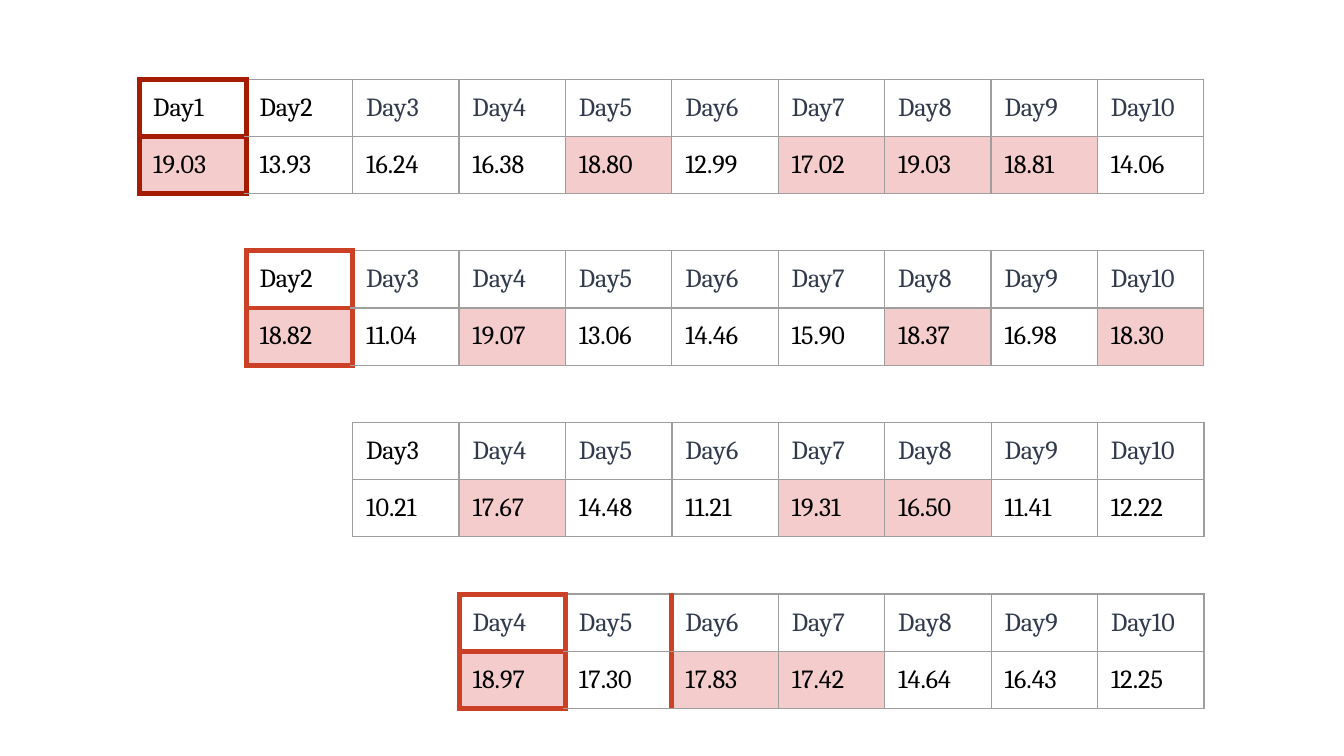
import pptx
import pptx.dml.color
import pptx.oxml
import pptx.oxml.ns
import pptx.util

Inches = pptx.util.Inches
WIDTH = 10
HEIGHT = WIDTH * 9 / 16
LAST_DAY = 10
LEFT, TOP, RIGHT, LAST_TOP = 1.04, 0.59, 8.96, 4.42
COLUMN = (RIGHT - LEFT) / LAST_DAY
ROW = (LAST_TOP - TOP) / 9  # each table takes two rows and leaves one free
BLACK, SLATE, GREY, PINK = "000000", "31394D", "9E9E9E", "F4CCCC"
DARK_RED, RED = "A61C00", "CC4125"

# First day, values, shaded days, days with a black heading, red border colour
# and the days that have a thick red line on their left and right sides
tables = [
    (1, "19.03 13.93 16.24 16.38 18.80 12.99 17.02 19.03 18.81 14.06",
     {1, 5, 7, 8, 9}, {1, 2}, DARK_RED, {1, 2}, {1}),
    (2, "18.82 11.04 19.07 13.06 14.46 15.90 18.37 16.98 18.30",
     {2, 4, 8, 10}, {2}, RED, {2, 3}, {2}),
    (3, "10.21 17.67 14.48 11.21 19.31 16.50 11.41 12.22",
     {4, 7, 8}, {3}, RED, set(), set()),
    (4, "18.97 17.30 17.83 17.42 14.64 16.43 12.25",
     {4, 6, 7}, set(), RED, {4, 5, 6}, {4, 5}),
]


def write(cell, text, color=BLACK, size=14, font="Cambria", inset=0.1):
    cell.margin_left = cell.margin_right = Inches(inset)
    cell.margin_top = cell.margin_bottom = Inches(inset)
    run = cell.text_frame.paragraphs[0].add_run()
    run.text = text
    run.font.name = font
    run.font.size = pptx.util.Pt(size)
    run.font.color.rgb = pptx.dml.color.RGBColor.from_string(color)


def add_border(cell, side, color, width):
    line = pptx.oxml.parse_xml(
        f'<a:ln{side} {pptx.oxml.ns.nsdecls("a")} w="{pptx.util.Pt(width)}">'
        f'<a:solidFill><a:srgbClr val="{color}"/></a:solidFill>'
        f'<a:prstDash val="solid"/></a:ln{side}>')
    cell._tc.get_or_add_tcPr().append(line)


presentation = pptx.Presentation()
presentation.slide_width = Inches(WIDTH)
presentation.slide_height = Inches(HEIGHT)
slide = presentation.slides.add_slide(presentation.slide_layouts[6])

for index, (first, values, shaded, black, red, red_left, red_right) in enumerate(tables):
    values = values.split()
    days = range(first, LAST_DAY + 1)

    # Table on the shared grid, starting at the column of its first day
    shape = slide.shapes.add_table(
        2, len(days), Inches(LEFT + (first - 1) * COLUMN), Inches(TOP + 3 * index * ROW),
        Inches(len(days) * COLUMN), Inches(2 * ROW))
    table = shape.table
    table.first_row = table.horz_banding = False
    for row in table.rows:
        row.height = Inches(ROW)

    for position, day in enumerate(days):
        table.columns[position].width = Inches(COLUMN)
        heading, value = table.cell(0, position), table.cell(1, position)
        write(heading, f"Day{day}", color=BLACK if day in black else SLATE)
        write(value, values[position])

        # Borders come before the fill in the cell properties
        framed = day == first and day in red_left
        thick = {"L": day in red_left, "R": day in red_right, "T": framed, "B": framed}
        for cell in (heading, value):
            for side, is_thick in thick.items():
                add_border(cell, side, red if is_thick else GREY, 3 if is_thick else 0.75)
            cell.fill.background()
        if day in shaded:
            value.fill.solid()
            value.fill.fore_color.rgb = pptx.dml.color.RGBColor.from_string(PINK)

presentation.save("out.pptx")
